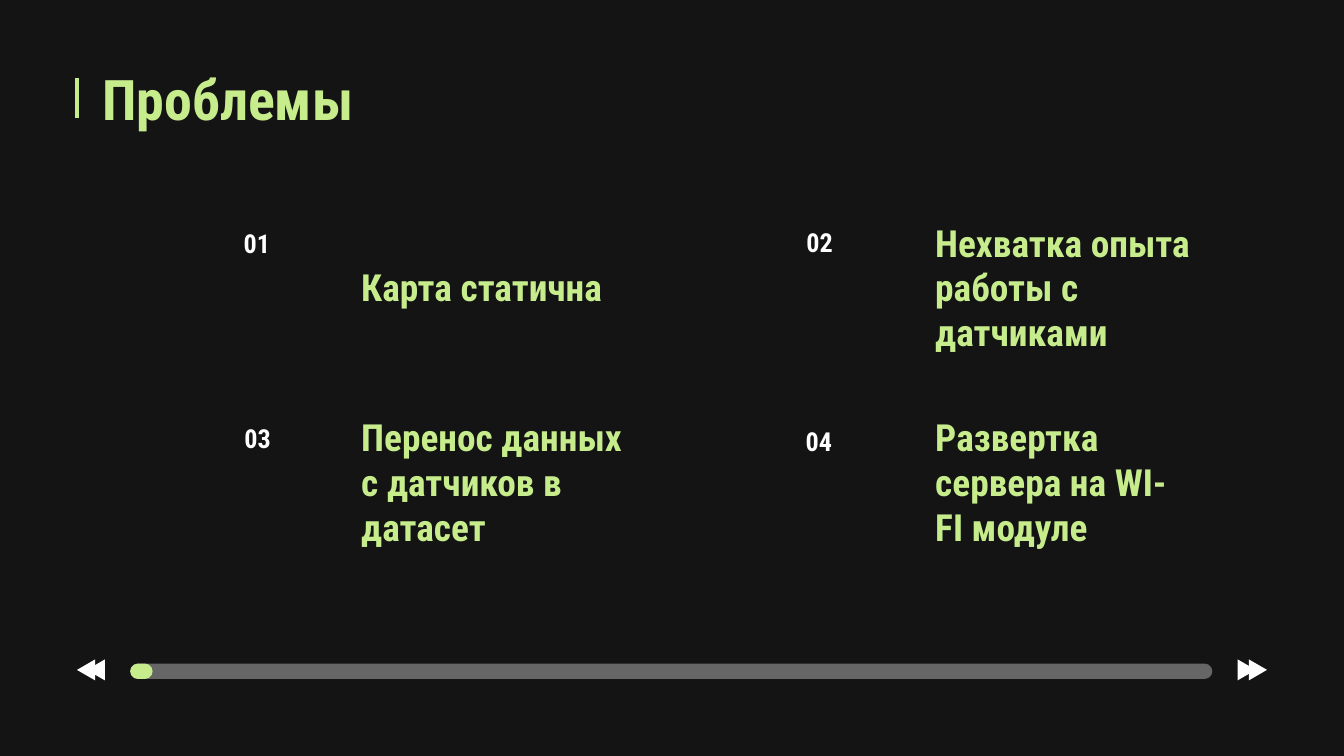
from lxml import etree
from pptx import Presentation
from pptx.dml.color import RGBColor
from pptx.enum.shapes import MSO_CONNECTOR, MSO_SHAPE
from pptx.enum.text import MSO_ANCHOR, MSO_AUTO_SIZE, PP_ALIGN
from pptx.oxml.ns import qn
from pptx.util import Pt

PX = 9525
LINE = MSO_CONNECTOR.STRAIGHT
ROUND, ARROW = MSO_SHAPE.ROUNDED_RECTANGLE, MSO_SHAPE.ISOSCELES_TRIANGLE
TOP, MID = MSO_ANCHOR.TOP, MSO_ANCHOR.MIDDLE
LEFT, MIDDLE = PP_ALIGN.LEFT, PP_ALIGN.CENTER
FIXED = MSO_AUTO_SIZE.NONE
LIME, WHITE, DARK = "C6EC8C", "FFFFFF", "141414"
rgb = RGBColor.from_string


def write(shape, box, text, size, color, align, anchor):
    shape.left, shape.top, shape.width, shape.height = [n * PX for n in box]
    frame = shape.text_frame
    frame.text = text
    frame.word_wrap = True
    frame.auto_size = FIXED
    frame.vertical_anchor = anchor
    if anchor == MID:
        frame.margin_left = frame.margin_right = 10 * PX
        frame.margin_top = frame.margin_bottom = 10 * PX
    para = frame.paragraphs[0]
    para.alignment = align
    font = para.font
    font.name, font.size, font.bold = "Roboto Condensed", Pt(size), True
    font.color.rgb = rgb(color)


def draw(kind, box, color):
    shape = shapes.add_shape(kind, *[n * PX for n in box])
    shape.shadow.inherit = False
    shape.fill.solid()
    shape.fill.fore_color.rgb = rgb(color)
    shape.line.fill.background()
    return shape


deck = Presentation()
deck.slide_width, deck.slide_height = 960 * PX, 540 * PX
slide = deck.slides.add_slide(deck.slide_layouts[5])
shapes = slide.shapes
slide.background.fill.solid()
slide.background.fill.fore_color.rgb = rgb(DARK)

mark = shapes.add_connector(LINE, 55 * PX, 56 * PX, 55 * PX, 84 * PX)
mark.line.color.rgb = rgb(LIME)
mark.line.width = Pt(2.25)
etree.SubElement(mark._element.spPr, qn("a:effectLst"))

write(shapes.title, (63, 40, 821, 60), "Проблемы", 30, LIME, LEFT, MID)

cards = [
    ("Карта статична", (248, 177, 199, 56), (132, 158, 103, 92)),
    ("Нехватка опыта работы с датчиками", (658, 153, 240, 104), (527, 157, 117, 92)),
    ("Перенос данных с датчиков в датасет", (248, 288, 221, 112), (125, 297, 118, 94)),
    ("Развертка сервера на WI-FI модуле", (658, 303, 199, 82), (526, 299, 118, 92)),
]
for i, (text, box, spot) in enumerate(cards, 1):
    write(shapes.add_textbox(0, 0, 0, 0), box, text, 20, LIME, LEFT, MID)
    write(shapes.add_textbox(0, 0, 0, 0), spot, f"{i:02}", 14, WHITE, MIDDLE, TOP)

track = draw(ROUND, (93, 474, 773, 11), WHITE)
tint = track.fill._xPr.find(qn("a:solidFill"))[0]
etree.SubElement(tint, qn("a:alpha"), val="35000")
done = draw(ROUND, (93, 474, 16, 11), LIME)
for bar in (track, done):
    bar.adjustments[0] = 0.5

for left, turn in ((54, 270), (61, 270), (883, 90), (891, 90)):
    draw(ARROW, (left, 472, 15, 13), WHITE).rotation = turn

deck.save("out.pptx")
